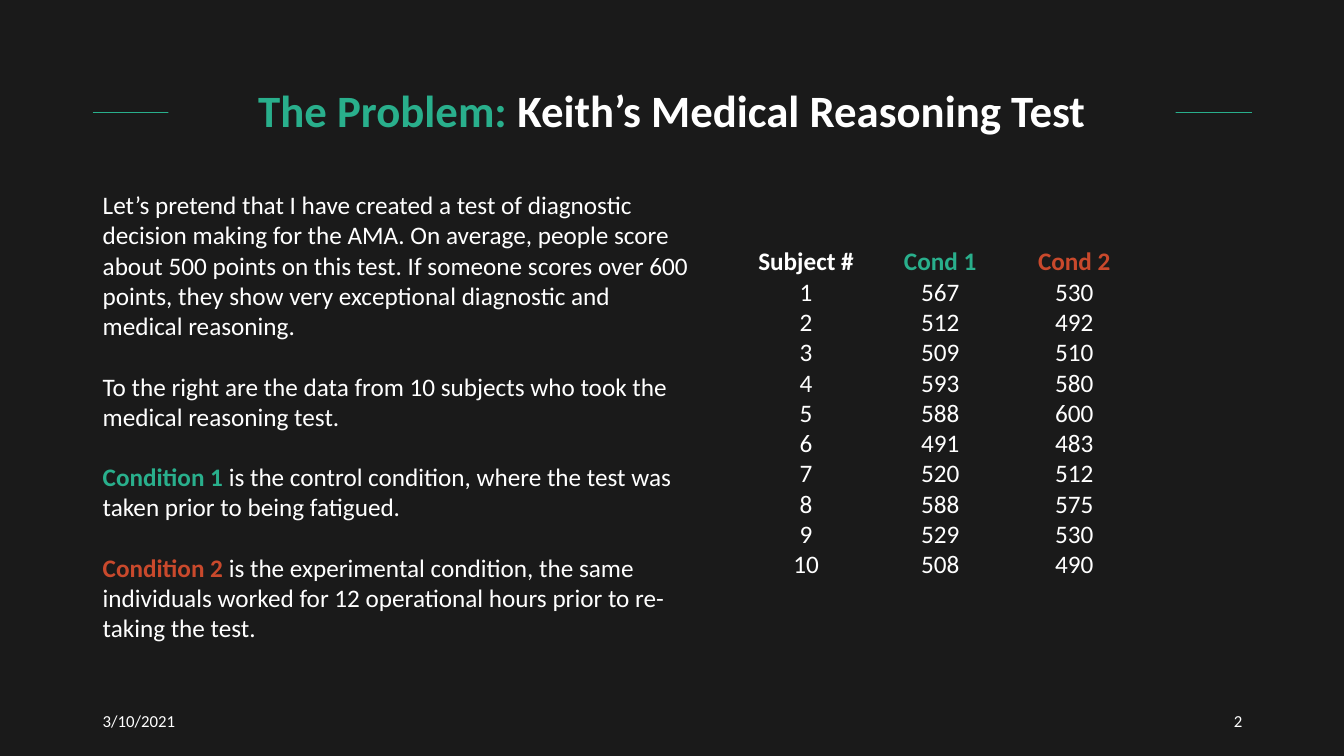
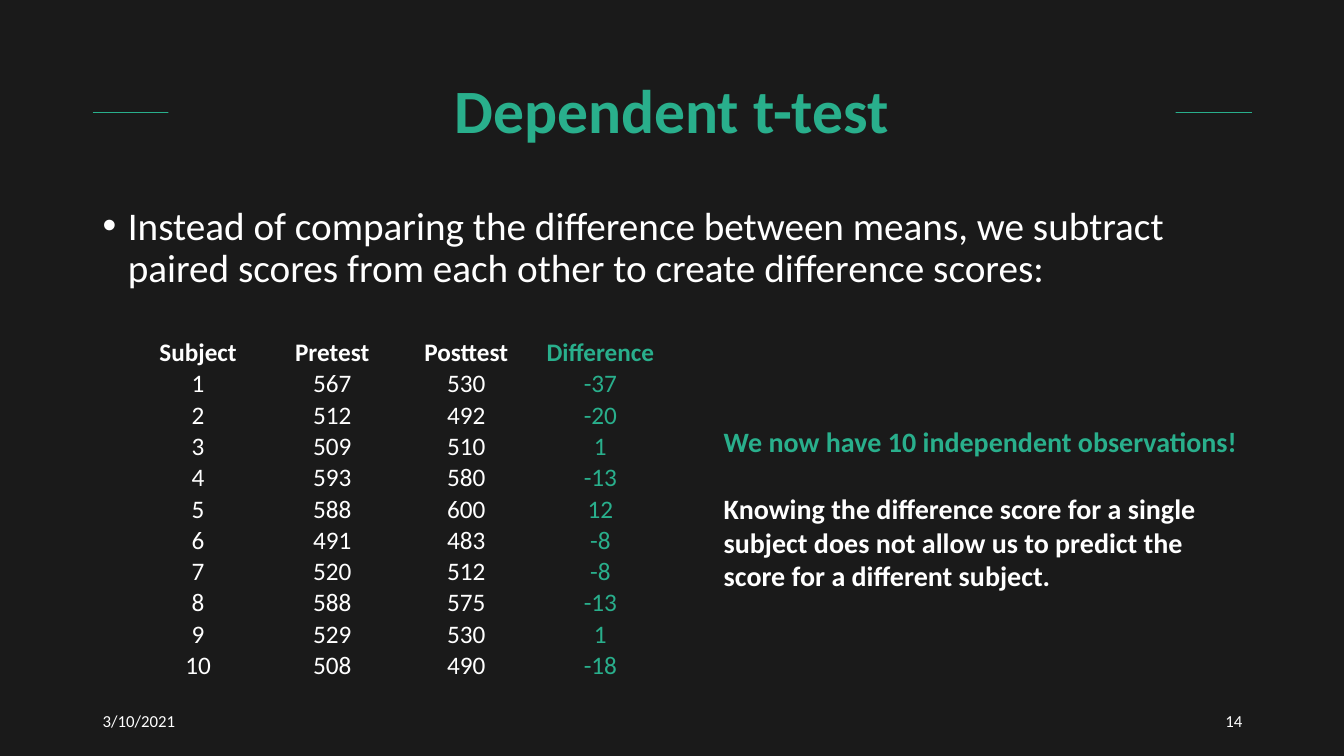
from lxml.etree import SubElement as Sub
from pptx import Presentation
from pptx.dml.color import RGBColor as RGB
from pptx.enum.shapes import MSO_CONNECTOR as Conn
from pptx.enum.text import MSO_ANCHOR as Anchor, PP_ALIGN as Align
from pptx.oxml.ns import qn
from pptx.util import Inches, Pt

COLORS = {"back": "1A1A1A", "text": "FFFFFF", "green": "29AF8C", "red": "C9492C"}
FONT = "Calibri"
DATE = "3/10/2021"
PLAIN_TABLE = "{2D5ABB26-0587-4C30-8999-92F81FD0307C}"
LEFT, WIDE = 0.92, 11.5
TITLE_BOX = (1.67, 0.4, 9.99, 1.45)
FOOT_TOP, FOOT_WIDE, FOOT_HIGH = 6.95, 3, 0.4
COL = 1.33

BEFORE = [567, 512, 509, 593, 588, 491, 520, 588, 529, 508]
AFTER = [530, 492, 510, 580, 600, 483, 512, 575, 530, 490]


def color(name):
    return RGB.from_string(COLORS[name])


def write(para, runs, size, **form):
    """Add (text, colour, bold) runs to a paragraph, formatted by form."""
    for key, val in form.items():
        setattr(para, key, val)
    for text, hue, bold in runs:
        run = para.add_run()
        run.text = text
        look = {"name": FONT, "size": Pt(size), "bold": bold}
        for key, val in look.items():
            setattr(run.font, key, val)
        run.font.color.rgb = color(hue)


def add_text(slide, box, paras, size, gap=0, anchor=Anchor.TOP, **form):
    """Place paragraphs, each a list of runs, with gap points between them."""
    shape = slide.shapes.add_textbox(*map(Inches, box))
    frame = shape.text_frame
    frame.word_wrap = True
    frame.vertical_anchor = anchor
    for i, runs in enumerate(paras):
        para = frame.add_paragraph() if i else frame.paragraphs[0]
        write(para, runs, size, space_before=Pt(gap if i else 0), **form)
    return shape


def add_bullet(para, indent):
    props = para._p.get_or_add_pPr()
    props.set("marL", str(Inches(indent)))
    props.set("indent", str(-Inches(indent)))
    Sub(props, qn("a:buFont")).set("typeface", "Arial")
    Sub(props, qn("a:buChar")).set("char", "•")


def add_grid(slide, left, top, heads, rows, high, inset, hues):
    """Draw a plain table; heads are (text, colour), hues colour the columns."""
    shape = slide.shapes.add_table(
        len(rows) + 1, len(heads), Inches(left), Inches(top),
        Inches(COL * len(heads)), Inches(high * (len(rows) + 1)))
    table = shape.table
    table.first_row = table.horz_banding = False
    table._tbl.tblPr.find(qn("a:tableStyleId")).text = PLAIN_TABLE
    lines = [[(text, hue, True) for text, hue in heads]]
    lines += [[(str(val), hue, False) for val, hue in zip(row, hues)]
              for row in rows]
    form = {"margin_left": Inches(inset), "margin_right": Inches(inset),
            "margin_top": Inches(inset), "margin_bottom": 0,
            "vertical_anchor": Anchor.BOTTOM}
    for r, line in enumerate(lines):
        for c, run in enumerate(line):
            cell = table.cell(r, c)
            for key, val in form.items():
                setattr(cell, key, val)
            cell.fill.background()
            write(cell.text_frame.paragraphs[0], [run], 18,
                  alignment=Align.CENTER)


def add_frame(deck, title, size, number):
    """Start a slide with its rule, title and footer."""
    slide = deck.slides.add_slide(deck.slide_layouts[6])
    mid = TITLE_BOX[1] + TITLE_BOX[3] / 2 - 0.01
    rule = slide.shapes.add_connector(
        Conn.STRAIGHT, Inches(LEFT), Inches(mid), Inches(LEFT + WIDE), Inches(mid))
    rule.line.color.rgb = color("green")
    rule.line.width = Pt(0.5)
    Sub(rule._element.spPr, qn("a:effectLst"))
    head = add_text(slide, TITLE_BOX, [title], size, anchor=Anchor.MIDDLE,
                    alignment=Align.CENTER, line_spacing=0.9)
    head.fill.solid()
    head.fill.fore_color.rgb = color("back")
    right = LEFT + WIDE - FOOT_WIDE
    for left, text, side in ((LEFT, DATE, Align.LEFT),
                             (right, str(number), Align.RIGHT)):
        add_text(slide, (left, FOOT_TOP, FOOT_WIDE, FOOT_HIGH),
                 [[(text, "text", False)]], 12, anchor=Anchor.MIDDLE,
                 alignment=side)
    return slide


def add_problem(deck):
    slide = add_frame(deck, [("The Problem: ", "green", True),
                             ("Keith’s Medical Reasoning Test", "text", True)],
                      32, 2)
    rows = list(zip(range(1, 11), BEFORE, AFTER))
    heads = [("Subject #", "text"), ("Cond 1", "green"), ("Cond 2", "red")]
    add_grid(slide, 7.33, 2.45, heads, rows, 0.3, 0, ["text"] * 3)
    story = [
        [("Let’s pretend that I have created a test of diagnostic decision "
          "making for the AMA. On average, people score about 500 points on "
          "this test. If someone scores over 600 points, they show very "
          "exceptional diagnostic and medical reasoning.", "text", False)],
        [("To the right are the data from 10 subjects who took the medical "
          "reasoning test.", "text", False)],
        [("Condition 1 ", "green", True),
         ("is the control condition, where the test was taken prior to being "
          "fatigued.", "text", False)],
        [("Condition 2 ", "red", True),
         ("is the experimental condition, the same individuals worked for 12 "
          "operational hours prior to re-taking the test.", "text", False)],
    ]
    add_text(slide, (LEFT, 1.83, 6.08, 4.64), story, 18, gap=21.6)


def add_ttest(deck):
    slide = add_frame(deck, [("Dependent t-test", "green", True)], 44, 14)
    lead = add_text(slide, (LEFT, 2, WIDE, 1.2), [[
        ("Instead of comparing the difference between means, we subtract "
         "paired scores from each other to create difference scores:",
         "text", False)]], 28, line_spacing=0.9)
    add_bullet(lead.text_frame.paragraphs[0], 0.25)
    rows = [(i, a, b, b - a)
            for i, (a, b) in enumerate(zip(BEFORE, AFTER), 1)]
    heads = [("Subject", "text"), ("Pretest", "text"), ("Posttest", "text"),
             ("Difference", "green")]
    add_grid(slide, 1.3, 3.34, heads, rows, 0.31, 0.01,
             ["text"] * 3 + ["green"])
    notes = [
        [("We now have 10 independent observations!", "green", True)],
        [("Knowing the difference score for a single subject does not allow "
          "us to predict the score for a different subject.", "text", True)],
    ]
    add_text(slide, (7.08, 4.16, 5.33, 1.78), notes, 20, gap=24)


def main():
    deck = Presentation()
    deck.slide_width, deck.slide_height = Inches(13.33), Inches(7.5)
    fill = deck.slide_master.background.fill
    fill.solid()
    fill.fore_color.rgb = color("back")
    add_problem(deck)
    add_ttest(deck)
    deck.save("out.pptx")


if __name__ == "__main__":
    main()
